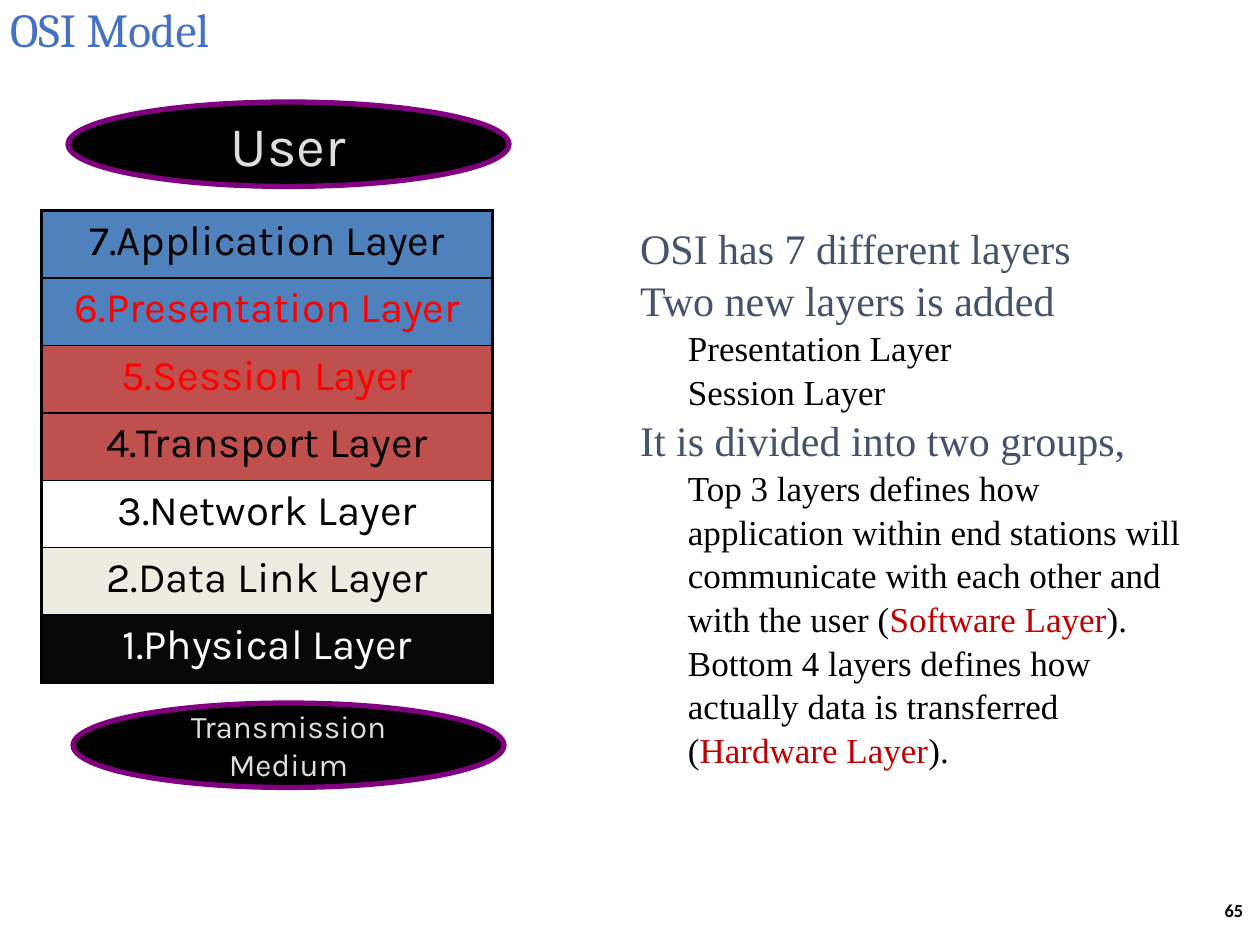
from lxml.etree import SubElement as Sub
from pptx import Presentation
from pptx.dml.color import RGBColor as Rgb
from pptx.enum.shapes import MSO_SHAPE as Kind
from pptx.enum.text import MSO_ANCHOR as Anchor, MSO_AUTO_SIZE as Auto, PP_ALIGN as Align
from pptx.oxml.ns import qn
from pptx.util import Inches, Pt

LAYERS = [
    ("7.Application Layer", "4F81BD", "000000"),
    ("6.Presentation Layer", "4F81BD", "FF0000"),
    ("5.Session Layer", "C0504D", "FF0000"),
    ("4.Transport Layer", "C0504D", "000000"),
    ("3.Network Layer", "FFFFFF", "000000"),
    ("2.Data Link Layer", "EEECE1", "000000"),
    ("1.Physical Layer", "080808", "FFFFFF"),
]
POINTS = [
    (0, ["OSI has 7 different layers"]),
    (0, ["Two new layers is added"]),
    (1, ["Presentation Layer"]),
    (1, ["Session Layer"]),
    (0, ["It is divided into two groups,"]),
    (1, ["Top 3 layers defines how application within end stations will "
         "communicate with each other and with the user (",
         "Software Layer", ")."]),
    (1, ["Bottom 4 layers defines how actually data is transferred (",
         "Hardware Layer", ")."]),
]


def tint(code):
    """Turn a hex string into a colour."""
    return Rgb.from_string(code)


class Deck:
    """Hold the style and the current slide."""

    serif, sans = "Times New Roman", "Karla"
    black, red, slate = "000000", "C00000", "44536A"

    def __init__(self):
        """Open a slide with a title and a body."""
        self.file = Presentation()
        self.file.slide_width, self.file.slide_height = Inches(10), Inches(7.5)
        self.slide = self.file.slides.add_slide(self.file.slide_layouts[1])

    def style(self, run, face, size, code, bold=False):
        """Format one run."""
        font = run.font
        font.name, font.size, font.bold = face, Pt(size), bold
        font.color.rgb = tint(code)

    def place(self, shape, box):
        """Move a text shape, clear its insets and return its frame."""
        shape.left, shape.top, shape.width, shape.height = map(Inches, box)
        frame = shape.text_frame
        frame.margin_left = frame.margin_right = 0
        frame.margin_top = frame.margin_bottom = 0
        frame.word_wrap, frame.auto_size = True, Auto.NONE
        frame.vertical_anchor = Anchor.TOP
        return frame

    def title(self, text, box):
        """Fill the title."""
        frame = self.place(self.slide.shapes.title, box)
        frame.text = text
        para = frame.paragraphs[0]
        para.alignment = Align.LEFT
        self.style(para.runs[0], "Cambria", 27, "4471C4")

    def body(self, points, box):
        """Fill the body with a two-level list."""
        frame = self.place(self.slide.placeholders[1], box)
        for spot, (level, parts) in enumerate(points):
            para = frame.add_paragraph() if spot else frame.paragraphs[0]
            para.level, para.alignment = level, Align.LEFT
            para.space_before, para.line_spacing = Pt(0), 1.04
            props = para._p.get_or_add_pPr()
            props.set("marL", str(Inches(0.38 * level)))
            props.set("indent", "0")
            Sub(props, qn("a:buNone"))
            size, base = (20, self.black) if level else (24, self.slate)
            for turn, part in enumerate(parts):
                run = para.add_run()
                run.text = part
                self.style(run, self.serif, size, self.red if turn == 1 else base)

    def label(self, text, box):
        """Add a small bold text box."""
        frame = self.place(self.slide.shapes.add_textbox(0, 0, 0, 0), box)
        frame.text = text
        self.style(frame.paragraphs[0].runs[0], "Calibri", 10.5, self.black, True)

    def edge(self, cell, widths):
        """Draw the cell borders, given left, right, top and bottom."""
        props = cell._tc.get_or_add_tcPr()
        for spot, (side, width) in enumerate(zip("LRTB", widths)):
            line = Sub(props, qn("a:ln" + side), w=str(Pt(width)))
            fill = Sub(line, qn("a:solidFill"))
            Sub(fill, qn("a:srgbClr"), val=self.black)
            props.insert(spot, line)

    def stack(self, layers, box):
        """Add a one-column table of layers."""
        count = len(layers)
        grid = self.slide.shapes.add_table(count, 1, *map(Inches, box)).table
        grid.first_row = grid.horz_banding = False
        for spot, (text, back, ink) in enumerate(layers):
            grid.rows[spot].height = Inches(box[3] / count)
            cell = grid.cell(spot, 0)
            cell.fill.solid()
            cell.fill.fore_color.rgb = tint(back)
            top = 1 if spot else 2.25
            base = 1 if spot < count - 1 else 2.25
            self.edge(cell, (2.25, 2.25, top, base))
            cell.text_frame.text = text
            para = cell.text_frame.paragraphs[0]
            para.alignment, para.space_before = Align.CENTER, Pt(4.8)
            self.style(para.runs[0], self.sans, 24, ink)

    def oval(self, text, size, box):
        """Add a black ellipse with a purple rim."""
        shape = self.slide.shapes.add_shape(Kind.OVAL, *map(Inches, box))
        shape.shadow.inherit = False
        shape.fill.solid()
        shape.fill.fore_color.rgb = tint(self.black)
        shape.line.color.rgb, shape.line.width = tint("800080"), Pt(3)
        frame = shape.text_frame
        frame.word_wrap, frame.vertical_anchor = False, Anchor.MIDDLE
        para = frame.paragraphs[0]
        para.text, para.alignment = text, Align.CENTER
        for run in para.runs:
            self.style(run, self.sans, size, "DEDEDE")


def main():
    """Build the slide and save it."""
    deck = Deck()
    deck.title("OSI Model", (0.08, 0, 9.33, 0.51))
    deck.body(POINTS, (5.08, 1.75, 4.42, 5.12))
    deck.label("65", (9.72, 7.14, 0.21, 0.17))
    deck.stack(LAYERS, (0.33, 1.67, 3.58, 3.75))
    deck.oval("User", 32, (0.54, 0.81, 3.5, 0.67))
    deck.oval("Transmission\vMedium", 18, (0.58, 5.58, 3.42, 0.67))
    deck.file.save("out.pptx")


if __name__ == "__main__":
    main()
